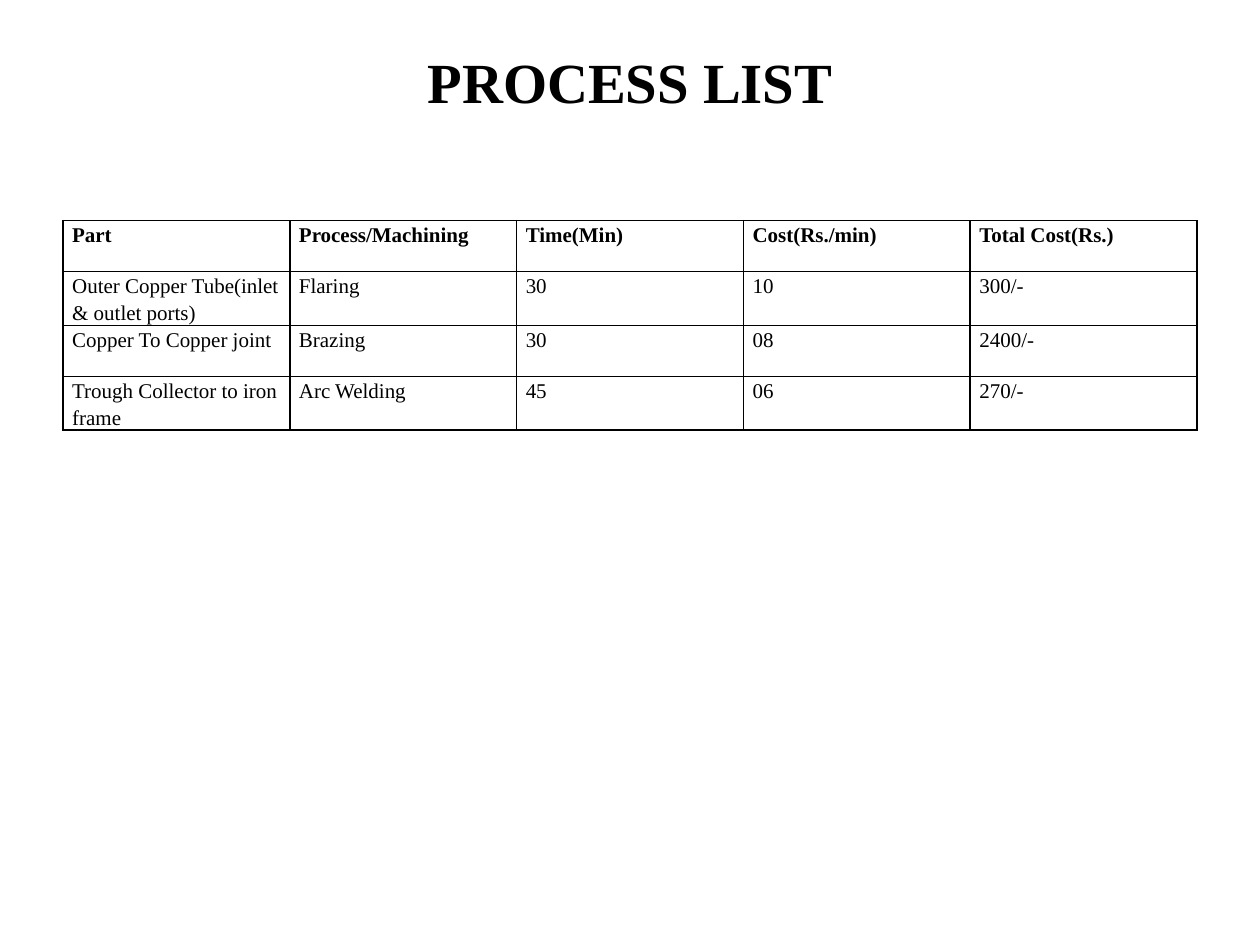
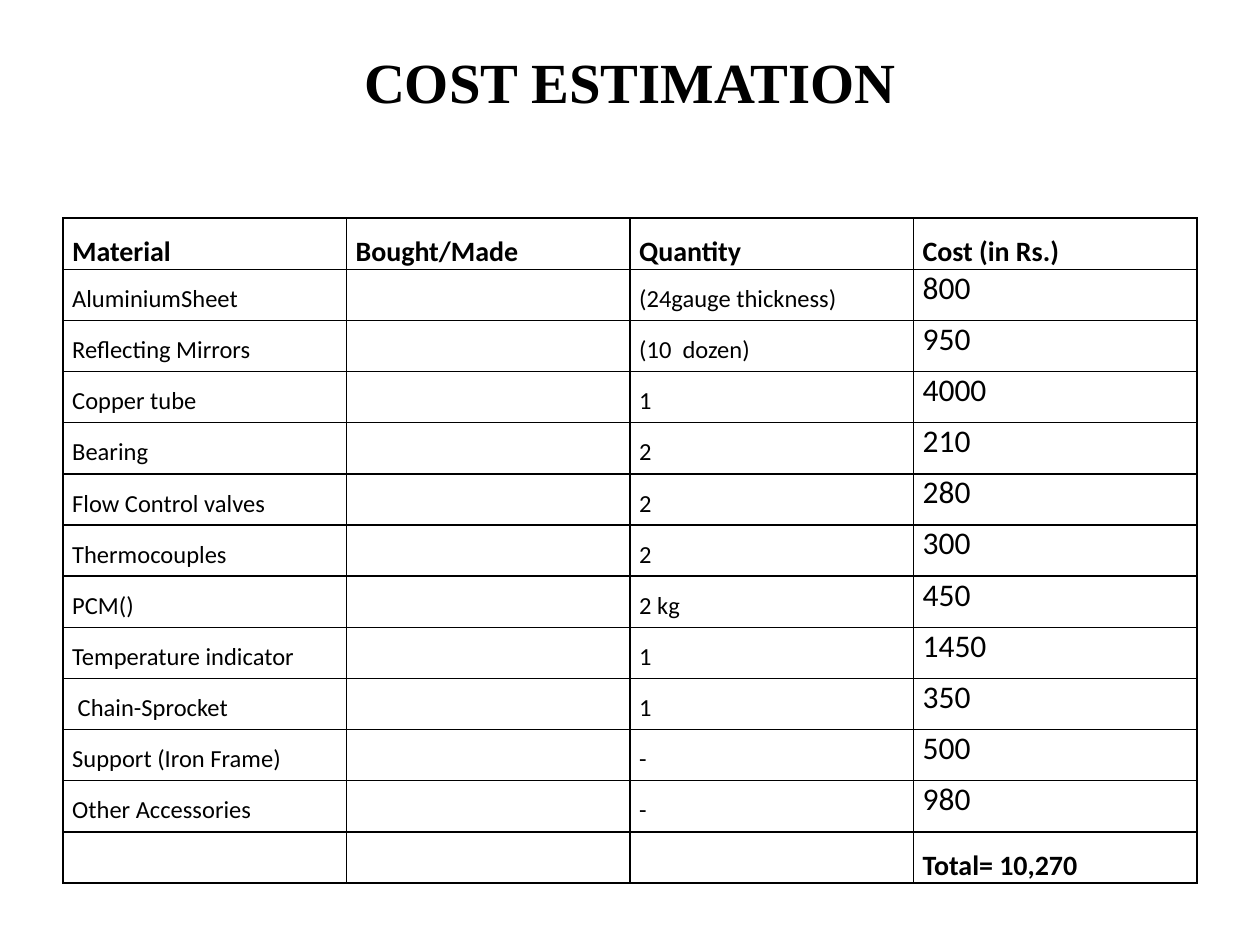
import pptx
import pptx.dml.color
import pptx.enum.text
import pptx.oxml
import pptx.oxml.ns
import pptx.util

PX = 9525
BLACK = "000000"
SERIF = "Times New Roman"
SANS = "Calibri"
LEFT, WIDTH = 48, 864
ROW_HEIGHT = 39
ALIGN = pptx.enum.text.PP_ALIGN
ANCHOR = pptx.enum.text.MSO_ANCHOR


def px(length):
    return pptx.util.Emu(length * PX)


def color(value):
    return pptx.dml.color.RGBColor.from_string(value)


def assign(target, values):
    for key, value in values.items():
        setattr(target, key, value)


def text_format(font, size, bold=False, **paragraph):
    return {
        "font": {"name": font, "size": pptx.util.Pt(size), "bold": bold},
        "paragraph": paragraph,
    }


TITLE = text_format(SERIF, 32.4, True, alignment=ALIGN.CENTER)
PROCESS_HEAD = text_format(SERIF, 12, True, line_spacing=1.15)
PROCESS_ENTRY = text_format(SERIF, 12, line_spacing=1.15)
COST_HEAD = text_format(SANS, 16, True, alignment=ALIGN.JUSTIFY, line_spacing=1.5)
MATERIAL = text_format(SANS, 14, line_spacing=1.5)
QUANTITY = text_format(SANS, 14, alignment=ALIGN.JUSTIFY, line_spacing=1.5)
AMOUNT = text_format(SANS, 18)

PROCESSES = [
    ("Part", "Process/Machining", "Time(Min)", "Cost(Rs./min)", "Total Cost(Rs.)"),
    ("Outer Copper Tube(inlet & outlet ports)", "Flaring", "30", "10", "300/-"),
    ("Copper To Copper joint", "Brazing", "30", "08", "2400/-"),
    ("Trough Collector to iron frame", "Arc Welding", "45", "06", "270/-"),
]
COSTS = [
    ("Material", "Bought/Made", "Quantity", "Cost (in Rs.)"),
    ("AluminiumSheet", "", "(24gauge thickness)", "800"),
    ("Reflecting Mirrors", "", "(10  dozen)", "950"),
    ("Copper tube", "", "1", "4000"),
    ("Bearing", "", "2", "210"),
    ("Flow Control valves", "", "2", "280"),
    ("Thermocouples", "", "2", "300"),
    ("PCM()", "", "2 kg", "450"),
    ("Temperature indicator", "", "1", "1450"),
    (" Chain-Sprocket", "", "1", "350"),
    ("Support (Iron Frame)", "", "-", "500"),
    ("Other Accessories", "", "-", "980"),
    ("", "", "", "Total= 10,270"),
]


class Deck:
    def __init__(self):
        self.presentation = pptx.Presentation()
        assign(self.presentation, {"slide_width": px(960), "slide_height": px(720)})
        self.slide = None

    def set_text(self, frame, text, style):
        frame.text = text
        paragraph = frame.paragraphs[0]
        assign(paragraph, style["paragraph"])
        for font in [paragraph.font, *(run.font for run in paragraph.runs)]:
            assign(font, style["font"])
            font.color.rgb = color(BLACK)

    def titled_slide(self, heading):
        layout = self.presentation.slide_layouts.get_by_name("Title Only")
        self.slide = self.presentation.slides.add_slide(layout)
        title = self.slide.shapes.title
        assign(title, {"left": px(LEFT), "top": px(29),
                       "width": px(WIDTH), "height": px(120)})
        assign(title.text_frame, {"vertical_anchor": ANCHOR.TOP, "margin_top": px(7),
                                  "auto_size": pptx.enum.text.MSO_AUTO_SIZE.NONE})
        self.set_text(title.text_frame, heading, TITLE)

    def border(self, cell):
        properties = cell._tc.get_or_add_tcPr()
        for side in ("lnL", "lnR", "lnT", "lnB"):
            properties.append(pptx.oxml.parse_xml(
                f'<a:{side} {pptx.oxml.ns.nsdecls("a")} w="12700"><a:solidFill>'
                f'<a:srgbClr val="{BLACK}"/></a:solidFill></a:{side}>'))

    def table(self, top, entries, style_for):
        columns = len(entries[0])
        grid = self.slide.shapes.add_table(
            len(entries), columns, px(LEFT), px(top),
            px(WIDTH), px(ROW_HEIGHT * len(entries))).table
        assign(grid, {"first_row": False, "horz_banding": False})
        for row, texts in enumerate(entries):
            for column, text in enumerate(texts):
                cell = grid.cell(row, column)
                assign(cell, {"margin_left": px(7), "margin_right": px(7),
                              "margin_top": 0, "margin_bottom": 0,
                              "vertical_anchor": ANCHOR.TOP})
                self.border(cell)
                cell.fill.background()
                self.set_text(cell.text_frame, text, style_for(row, column))


def process_style(row, column):
    return PROCESS_ENTRY if row else PROCESS_HEAD


def cost_style(row, column):
    if row in (0, len(COSTS) - 1):
        return COST_HEAD
    return (MATERIAL, MATERIAL, QUANTITY, AMOUNT)[column]


def main():
    deck = Deck()
    deck.titled_slide("PROCESS LIST")
    deck.table(168, PROCESSES, process_style)
    deck.titled_slide("COST ESTIMATION")
    deck.table(166, COSTS, cost_style)
    deck.presentation.save("out.pptx")


if __name__ == "__main__":
    main()
